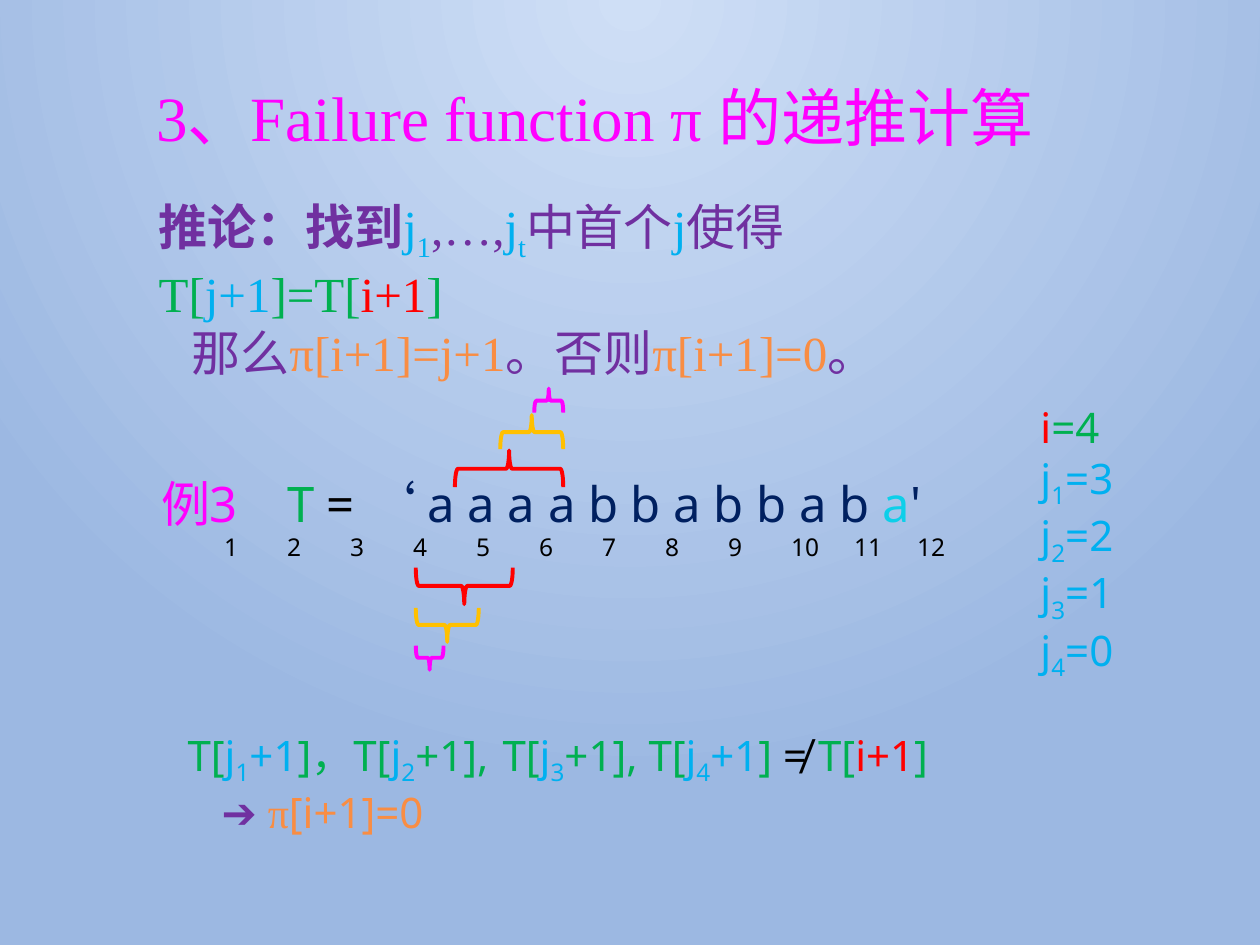
from lxml import etree
from pptx import Presentation
from pptx.dml.color import RGBColor
from pptx.enum.shapes import MSO_SHAPE
from pptx.enum.text import MSO_ANCHOR, MSO_AUTO_SIZE, PP_ALIGN
from pptx.oxml.ns import qn
from pptx.util import Inches, Pt

LEFT_BRACE = MSO_SHAPE.LEFT_BRACE
TOP, MIDDLE = MSO_ANCHOR.TOP, MSO_ANCHOR.MIDDLE
GROW, FIXED = MSO_AUTO_SIZE.SHAPE_TO_FIT_TEXT, MSO_AUTO_SIZE.NONE
LEFT = PP_ALIGN.LEFT

THEME = {
    "serif": "Times New Roman", "sans": "Noto Sans",
    "title": 36, "body": 28, "note": 24, "index": 14, "brace": 2.25,
    "glow": "CFDFF6", "edge": "9CB8E2",
    "magenta": "FF00FF", "purple": "7030A0", "green": "00B050", "blue": "00B0F0",
    "red": "FF0000", "orange": "F98D43", "yellow": "FFC000", "navy": "002060",
    "cyan": "0DCFE9", "black": "000000",
}


def j(index):
    return [("j", "blue"), (index, "blue", {"sub": True})]


TITLE = [[("3、Failure function π 的递推计算", "magenta")]]
COROLLARY = [
    [("推论：找到", "purple", {"bold": True}), *j("1"), (",…,", "purple"), *j("t"),
     ("中首个", "purple"), ("j", "blue"), ("使得", "purple"), ("T[", "green"),
     ("j+1", "blue"), ("]=T[", "green"), ("i+1", "red"), ("]", "green")],
    [("那么", "purple"), ("π[i+1]=j+1", "orange"), ("。否则", "purple"),
     ("π[i+1]=0", "orange"), ("。", "purple")],
]
EXAMPLE = [
    [("例3\t", "magenta"), ("T", "green"), (" = ", "black"),
     ("‘ a a a a b b a b b a b ", "navy"), ("a", "cyan"), ("'", "navy")],
    [("".join(f"\t{n}" for n in range(1, 13)), "black", {"size": "index"})],
]
INDEX_TABS = [1.66, 1.97, 2.29, 2.6, 2.86, 3.18, 3.49, 3.75, 4.07, 4.33, 4.66, 5.03]
CONCLUSION = [
    [("T[", "green"), *j("1"), ("+1", "blue"), ("]，T[", "green"), *j("2"),
     ("+1],\tT[", "green"), *j("3"), ("+1], T[", "green"), *j("4"), ("+1", "blue"),
     ("] ", "green"), ("≠ ", "black"), ("T[", "green"), ("i+1", "red"), ("]", "green")],
    [("➔ ", "purple"), ("π", "orange", {"font": "serif"}), ("[i+1]=0", "orange")],
]
VALUES = [[("i", "red"), ("=4", "green")]] + [
    [*j(str(n)), (f"={4 - n}", "blue")] for n in range(1, 5)
]
PREFIX_LEFT, SUFFIX_RIGHT = 3.3, 4.47
BRACES = [
    ("red", 0.29, (0.77, 4.65), (0.86, 3.72)),
    ("yellow", 0.27, (0.5, 4.96), (0.5, 3.43)),
    ("magenta", 0.19, (0.22, 5.22), (0.23, 3.18)),
]


def color(name):
    return RGBColor.from_string(THEME[name])


def write(shape, paragraphs, *, box, font, size, indents=(), tabs=(),
          anchor=TOP, auto_size=GROW, line_spacing=1.0):
    shape.left, shape.top, shape.width, shape.height = map(Inches, box)
    frame = shape.text_frame
    frame.word_wrap = True
    frame.auto_size = auto_size
    frame.vertical_anchor = anchor
    for number, runs in enumerate(paragraphs):
        paragraph = frame.paragraphs[0] if number == 0 else frame.add_paragraph()
        properties = paragraph._p.get_or_add_pPr()
        properties.set("marL", str(Inches(indents[number] if indents else 0)))
        properties.set("indent", "0")
        etree.SubElement(properties, qn("a:buNone"))
        if tabs and tabs[number]:
            tab_list = etree.SubElement(properties, qn("a:tabLst"))
            for position in tabs[number]:
                etree.SubElement(tab_list, qn("a:tab"), pos=str(Inches(position)), algn="l")
        paragraph.alignment = LEFT
        paragraph.space_before = paragraph.space_after = Pt(0)
        paragraph.line_spacing = line_spacing
        for text, color_name, *rest in runs:
            options = rest[0] if rest else {}
            run = paragraph.add_run()
            run.text = text
            run.font.name = THEME[options.get("font", font)]
            run.font.size = Pt(THEME[options.get("size", size)])
            run.font.bold = options.get("bold", False)
            run.font.color.rgb = color(color_name)
            if options.get("sub"):
                run._r.get_or_add_rPr().set("baseline", "-25000")


def paint_background(slide):
    fill = slide.background.fill
    fill.gradient()
    for stop, name in zip(fill.gradient_stops, ("glow", "edge")):
        stop.color.rgb = color(name)
    linear = next(slide.element.iter(qn("a:lin")))
    radial = etree.Element(qn("a:path"), path="circle")
    etree.SubElement(radial, qn("a:fillToRect"), l="43000", t="0", r="43000", b="100000")
    linear.getparent().replace(linear, radial)


def add_brace(slide, color_name, depth, span, center_x, center_y, rotation):
    brace = slide.shapes.add_shape(
        LEFT_BRACE, Inches(center_x - depth / 2), Inches(center_y - span / 2),
        Inches(depth), Inches(span))
    brace.rotation = rotation
    brace.shadow.inherit = False
    brace.fill.background()
    brace.line.color.rgb = color(color_name)
    brace.line.width = Pt(THEME["brace"])


def main():
    presentation = Presentation()
    presentation.slide_width, presentation.slide_height = Inches(10), Inches(7.5)
    slide = presentation.slides.add_slide(presentation.slide_layouts[1])
    paint_background(slide)

    write(slide.shapes.title, TITLE, box=(1.14, 0.62, 8.49, 0.69), font="serif",
          size="title", anchor=MIDDLE, auto_size=FIXED, line_spacing=0.9)
    write(slide.placeholders[1], COROLLARY, box=(1.16, 1.51, 7.38, 1.04),
          font="serif", size="body", indents=(0, 0.26))

    def add_text(paragraphs, **options):
        write(slide.shapes.add_textbox(0, 0, 0, 0), paragraphs, font="sans", **options)

    add_text(EXAMPLE, box=(1.18, 3.71, 7.03, 0.81), size="body", tabs=([1], INDEX_TABS))
    add_text(CONCLUSION, box=(1.39, 5.74, 7.65, 1.31), size="note",
             indents=(0, 0.27), tabs=([2.72], []))
    add_text(VALUES, box=(8.16, 3.14, 1.17, 2.12), size="note")

    for name, depth, (prefix, prefix_y), (suffix, suffix_y) in BRACES:
        add_brace(slide, name, depth, prefix, PREFIX_LEFT + prefix / 2, prefix_y, 270)
        add_brace(slide, name, depth, suffix, SUFFIX_RIGHT - suffix / 2, suffix_y, 90)

    presentation.save("out.pptx")


if __name__ == "__main__":
    main()
